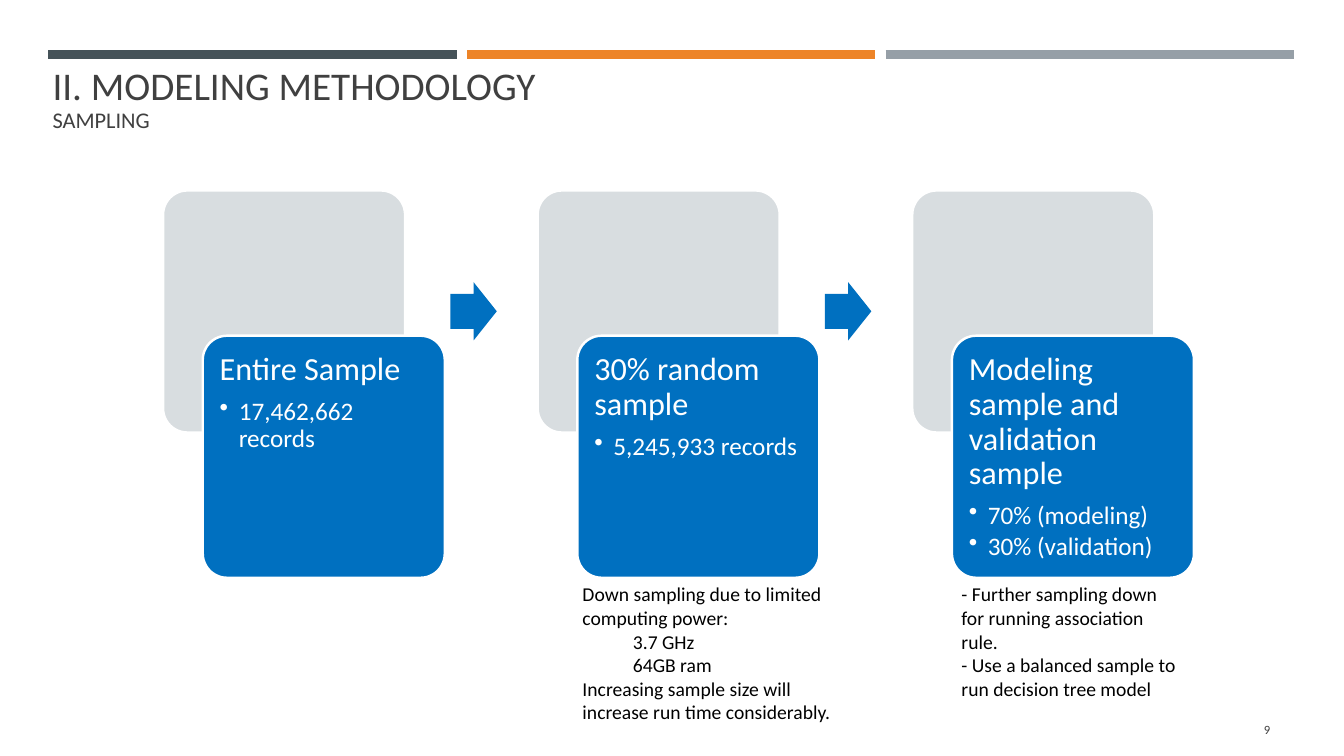
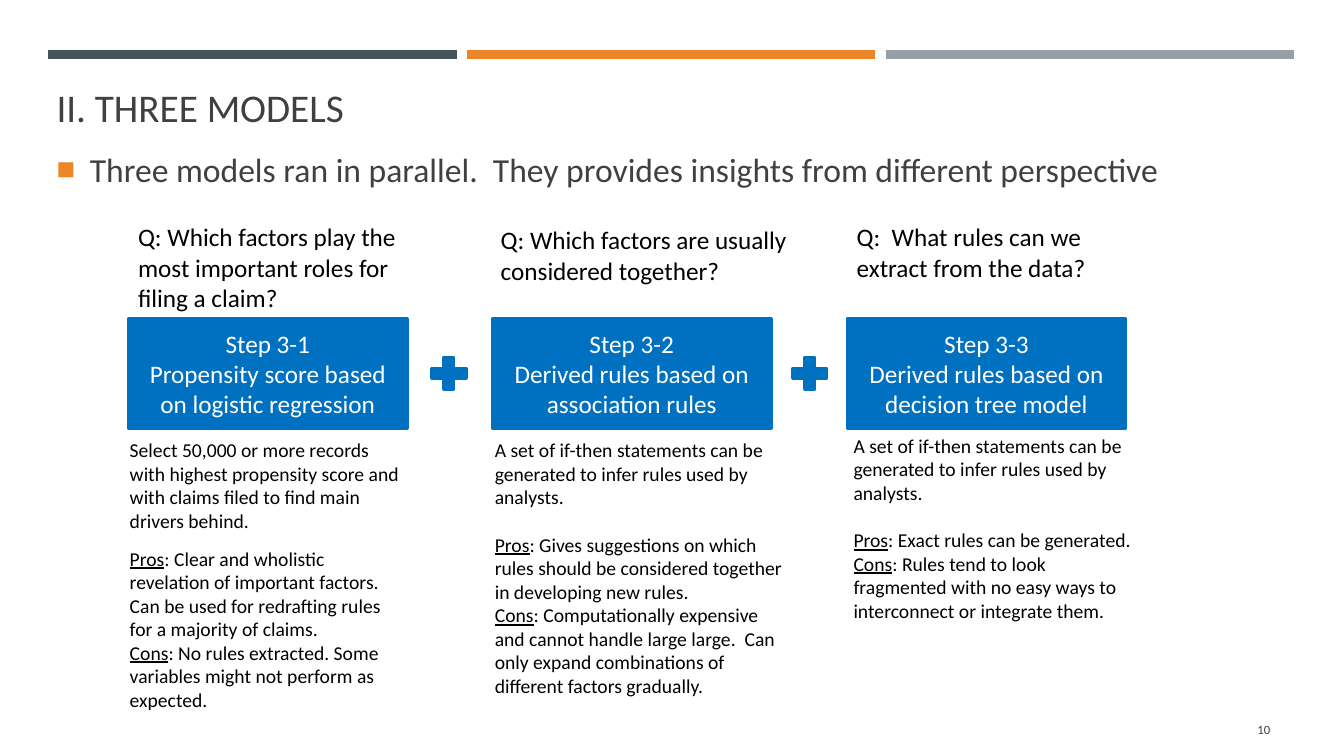
from dataclasses import dataclass
from typing import NamedTuple, Optional

from lxml import etree
from pptx import Presentation
from pptx import util as u
from pptx.dml.color import RGBColor
from pptx.enum import shapes, text
from pptx.oxml import ns

FONT = "Calibri"
BLACK = RGBColor(0x00, 0x00, 0x00)
WHITE = RGBColor(0xFF, 0xFF, 0xFF)
CHARCOAL = RGBColor(0x40, 0x40, 0x40)
SLATE = RGBColor(0x46, 0x53, 0x59)
ORANGE = RGBColor(0xED, 0x84, 0x28)
STEEL = RGBColor(0x96, 0x9F, 0xA7)
BLUE = RGBColor(0x00, 0x70, 0xC0)
PALE = RGBColor(0xD8, 0xDD, 0xE0)

LEFT, CENTER, RIGHT = text.PP_ALIGN.LEFT, text.PP_ALIGN.CENTER, text.PP_ALIGN.RIGHT
PRESET = shapes.MSO_SHAPE
TITLE_AND_BODY, TITLE_ONLY = 1, 5


class Box(NamedTuple):
    """Left, top, width and height in centimetres."""
    left: float
    top: float
    width: float
    height: float

    def lengths(self) -> list:
        return [u.Cm(side) for side in self]


class Run(NamedTuple):
    words: str
    underline: bool = False


class Bullet(NamedTuple):
    char: str
    hanging: float
    color: Optional[RGBColor] = None
    percent: int = 100


@dataclass(frozen=True)
class Para:
    runs: tuple
    size: float = 14
    color: RGBColor = BLACK
    align: text.PP_ALIGN = LEFT
    indent: float = 0
    before: float = 0
    after: float = 0
    spacing: float = 1.0
    bullet: Optional[Bullet] = None


class Note(NamedTuple):
    box: Box
    paras: tuple


class Sample(NamedTuple):
    heading: str
    details: tuple


class Model(NamedTuple):
    left: float
    step: str
    method: str
    question: Note
    details: Note


def plain(words: str, **style) -> Para:
    return Para((Run(words),), **style)


def labelled(label: str, words: str, before: float = 0) -> Para:
    return Para((Run(label, True), Run(": " + words)), before=before)


def add_bullet(properties, bullet: Bullet) -> None:
    properties.set("indent", str(-u.Cm(bullet.hanging)))
    if bullet.color is not None:
        holder = etree.SubElement(properties, ns.qn("a:buClr"))
        etree.SubElement(holder, ns.qn("a:srgbClr"), val=str(bullet.color))
    etree.SubElement(properties, ns.qn("a:buSzPct"), val=str(bullet.percent * 1000))
    etree.SubElement(properties, ns.qn("a:buChar"), char=bullet.char)


def write(frame, paras: tuple, anchor=text.MSO_ANCHOR.TOP) -> None:
    frame.word_wrap = True
    frame.vertical_anchor = anchor
    for index, para in enumerate(paras):
        line = frame.add_paragraph() if index else frame.paragraphs[0]
        properties = line._p.get_or_add_pPr()
        hanging = para.bullet.hanging if para.bullet else 0
        properties.set("marL", str(u.Cm(para.indent + hanging)))
        properties.set("indent", "0")
        if para.bullet:
            add_bullet(properties, para.bullet)
        line.alignment = para.align
        line.line_spacing = para.spacing
        line.space_before = u.Pt(para.before)
        line.space_after = u.Pt(para.after)
        for part in para.runs:
            run = line.add_run()
            run.text = part.words
            run.font.name = FONT
            run.font.size = u.Pt(para.size)
            run.font.color.rgb = para.color
            if part.underline:
                run.font.underline = True


def add_note(slide, note: Note) -> None:
    frame = slide.shapes.add_textbox(*note.box.lengths()).text_frame
    write(frame, note.paras)
    frame.auto_size = text.MSO_AUTO_SIZE.SHAPE_TO_FIT_TEXT


def add_block(slide, preset, box: Box, fill: RGBColor, outline: Optional[RGBColor] = None):
    block = slide.shapes.add_shape(preset, *box.lengths())
    block.shadow.inherit = False
    block.fill.solid()
    block.fill.fore_color.rgb = fill
    if outline is None:
        block.line.fill.background()
    else:
        block.line.color.rgb = outline
        block.line.width = u.Pt(1.75)
    return block


def fill_placeholder(placeholder, box: Box, paras: tuple, anchor) -> None:
    placeholder.left, placeholder.top, placeholder.width, placeholder.height = box.lengths()
    placeholder.text_frame.auto_size = text.MSO_AUTO_SIZE.NONE
    write(placeholder.text_frame, paras, anchor)


def add_bands(slide) -> None:
    first, top, length, pitch = 1.22, 1.37, 10.29, 10.55
    for index, color in enumerate((SLATE, ORANGE, STEEL)):
        left = first + index * pitch
        band = slide.shapes.add_connector(
            shapes.MSO_CONNECTOR.STRAIGHT,
            u.Cm(left), u.Cm(top), u.Cm(left + length), u.Cm(top))
        band.line.color.rgb = color
        band.line.width = u.Pt(6.5)
        etree.SubElement(band.element.spPr, ns.qn("a:effectLst"))


def start_slide(prs, layout: int, number: int, title_box: Box, title: str,
                subtitle: str = ""):
    """Add a slide with the shared bands, title style and page number."""
    slide = prs.slides.add_slide(prs.slide_layouts[layout])
    add_bands(slide)
    lines = [plain(title, size=28, color=CHARCOAL, spacing=0.9)]
    if subtitle:
        lines.append(plain(subtitle, size=16, color=CHARCOAL, spacing=0.9))
    fill_placeholder(slide.shapes.title, title_box, tuple(lines), text.MSO_ANCHOR.BOTTOM)
    page = slide.shapes.add_textbox(*Box(29.34, 17.86, 2.92, 1.02).lengths())
    write(page.text_frame, (plain(str(number), size=9, color=CHARCOAL, align=RIGHT),),
          text.MSO_ANCHOR.MIDDLE)
    return slide


SAMPLES = (
    Sample("Entire Sample", ("17,462,662 records",)),
    Sample("30% random sample", ("5,245,933 records",)),
    Sample("Modeling sample and validation sample",
           ("70% (modeling)", "30% (validation)")),
)

SAMPLING_NOTES = (
    Note(Box(14.43, 14.55, 7.09, 3.84), (
        plain("Down sampling due to limited computing power:"),
        plain("3.7 GHz", indent=1.27),
        plain("64GB ram", indent=1.27),
        plain("Increasing sample size will increase run time considerably."),
    )),
    Note(Box(23.98, 14.55, 6.1, 3.25), (
        plain("- Further sampling down for running association rule."),
        plain("- Use a balanced sample to run decision tree model"),
    )),
)

IF_THEN = plain("A set of if-then statements can be generated to infer rules used by analysts.")

MODELS = (
    Model(3.23, "Step 3-1", "Propensity score based on logistic regression",
          Note(Box(3.23, 5.46, 7.04, 2.57), (
              plain("Q: Which factors play the most important roles for filing a claim?",
                    size=18),)),
          Note(Box(3.02, 10.92, 7.44, 7.77), (
              plain("Select 50,000 or more records with highest propensity score and "
                    "with claims filed to find main drivers behind."),
              labelled("Pros", "Clear and wholistic revelation of important factors. "
                       "Can be used for redrafting rules for a majority of claims.", 10),
              labelled("Cons", "No rules extracted. Some variables might not perform "
                       "as expected."),
          ))),
    Model(12.4, "Step 3-2", "Derived rules based on association rules",
          Note(Box(12.37, 5.54, 7.8, 1.8), (
              plain("Q: Which factors are usually considered together?", size=18),)),
          Note(Box(12.22, 10.92, 7.77, 6.83), (
              IF_THEN,
              labelled("Pros", "Gives suggestions on which rules should be considered "
                       "together in developing new rules.", 17),
              labelled("Cons", "Computationally expensive and cannot handle large large.  "
                       "Can only expand combinations of different factors gradually."),
          ))),
    Model(21.34, "Step 3-3", "Derived rules based on decision tree model",
          Note(Box(21.34, 5.46, 7.04, 1.8), (
              plain("Q:  What rules can we extract from the data?", size=18),)),
          Note(Box(21.26, 10.8, 7.77, 5.05), (
              IF_THEN,
              labelled("Pros", "Exact rules can be generated.", 17),
              labelled("Cons", "Rules tend to look fragmented with no easy ways to "
                       "interconnect or integrate them."),
          ))),
)


def add_sample(slide, sample: Sample, left: float) -> None:
    """Draw a pale card with a blue card in front that holds the text."""
    side = 6.1
    back = add_block(slide, PRESET.ROUNDED_RECTANGLE, Box(left, 4.8, side, side), PALE, WHITE)
    front = add_block(slide, PRESET.ROUNDED_RECTANGLE,
                      Box(left + 1, 8.46, side, side), BLUE, WHITE)
    for card in (back, front):
        card.adjustments[0] = 0.1
    frame = front.text_frame
    frame.margin_left = frame.margin_right = u.Cm(0.25)
    frame.margin_top = frame.margin_bottom = u.Cm(0.25)
    heading = plain(sample.heading, size=23, color=WHITE, spacing=0.9, after=8)
    details = [plain(detail, size=18, color=WHITE, spacing=0.9, after=2.7,
                     bullet=Bullet("•", 0.48)) for detail in sample.details]
    write(frame, (heading, *details))


def build_sampling(prs) -> None:
    slide = start_slide(prs, TITLE_ONLY, 9, Box(1.07, 0.74, 30.63, 2.74),
                        "II. MODELING METHODOLOGY", "SAMPLING")
    first, pitch = 4.11, 9.44
    for index, sample in enumerate(SAMPLES):
        left = first + index * pitch
        add_sample(slide, sample, left)
        if index < len(SAMPLES) - 1:
            arrow = add_block(slide, PRESET.RIGHT_ARROW,
                              Box(left + 7.24, 7.11, 1.17, 1.47), BLUE)
            arrow.adjustments[0] = 0.6
    for note in SAMPLING_NOTES:
        add_note(slide, note)


def build_models(prs) -> None:
    slide = start_slide(prs, TITLE_AND_BODY, 10, Box(1.17, 1.32, 30.63, 2.74),
                        "II. THREE MODELS")
    slide.shapes.title.text_frame.margin_bottom = u.Cm(0.76)
    summary = plain("Three models ran in parallel.  They provides insights from "
                    "different perspective", size=24, color=CHARCOAL, after=6,
                    bullet=Bullet("■", 0.84, ORANGE, 92))
    fill_placeholder(slide.placeholders[1], Box(1.17, 3.63, 28.6, 1.42), (summary,),
                     text.MSO_ANCHOR.TOP)
    for model in MODELS:
        step = add_block(slide, PRESET.RECTANGLE, Box(model.left, 8.03, 7.04, 2.77),
                         BLUE, BLUE)
        write(step.text_frame,
              tuple(plain(words, size=18, color=WHITE, align=CENTER)
                    for words in (model.step, model.method)),
              text.MSO_ANCHOR.MIDDLE)
        add_note(slide, model.question)
        add_note(slide, model.details)
    for left in (10.72, 19.81):
        add_block(slide, PRESET.MATH_PLUS, Box(left, 8.85, 1.19, 1.12), BLUE, BLUE)


def main() -> None:
    prs = Presentation()
    prs.slide_width, prs.slide_height = u.Cm(33.87), u.Cm(19.05)
    build_sampling(prs)
    build_models(prs)
    prs.save("out.pptx")


if __name__ == "__main__":
    main()
